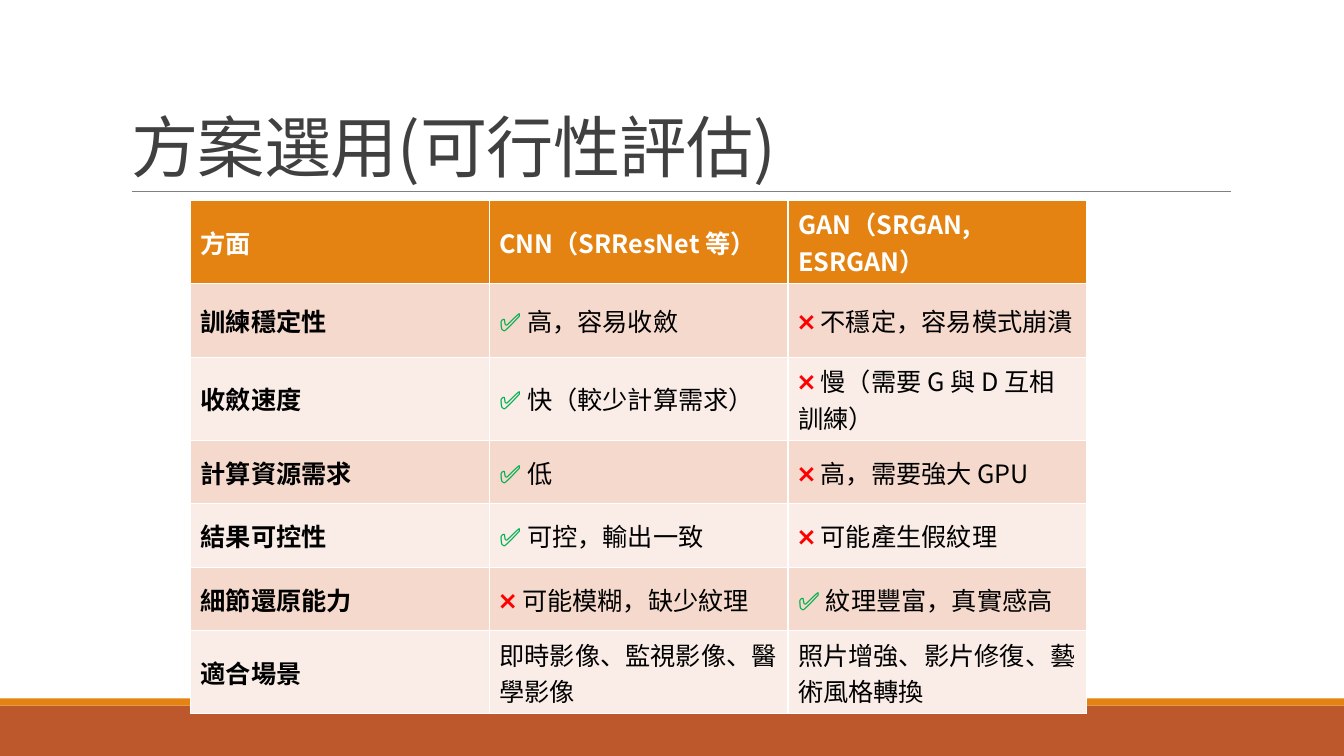
from dataclasses import dataclass

from lxml import etree
from pptx import Presentation
from pptx import util as u
from pptx.dml.color import RGBColor
from pptx.enum import shapes, text
from pptx.oxml.ns import qn


@dataclass(frozen=True)
class Theme:
    font: str = "Noto Sans CJK SC"
    title_size: int = 48
    table_size: int = 18
    title: str = "404040"
    rule: str = "808080"
    orange: str = "E48312"
    rust: str = "BD582C"
    bands: tuple = ("F5D9CC", "FAEDE7")
    header_text: str = "FFFFFF"
    body_text: str = "000000"
    yes: str = "00B050"
    no: str = "FF0000"


THEME = Theme()
MARK_COLOURS = {"✅": THEME.yes, "❌": THEME.no}

ROWS = [
    ("方面", "CNN（SRResNet 等）", "GAN（SRGAN, ESRGAN）"),
    ("訓練穩定性", "✅ 高，容易收斂", "❌ 不穩定，容易模式崩潰"),
    ("收斂速度", "✅ 快（較少計算需求）", "❌ 慢（需要 G 與 D 互相訓練）"),
    ("計算資源需求", "✅ 低", "❌ 高，需要強大 GPU"),
    ("結果可控性", "✅ 可控，輸出一致", "❌ 可能產生假紋理"),
    ("細節還原能力", "❌ 可能模糊，缺少紋理", "✅ 紋理豐富，真實感高"),
    ("適合場景", "即時影像、監視影像、醫學影像", "照片增強、影片修復、藝術風格轉換"),
]
ROW_HEIGHTS = (0.63, 0.73, 0.73, 0.63, 0.63, 0.63, 0.73)


def colour(value):
    return RGBColor.from_string(value)


def set_paragraph_font(para, size):
    """Set size and typeface for both Latin and East Asian text."""
    font = para.font
    font.size = u.Pt(size)
    font.name = THEME.font
    properties = para._p.pPr.find(qn("a:defRPr"))
    etree.SubElement(properties, qn("a:ea")).set("typeface", THEME.font)
    return properties


def add_band(page, top, height, fill):
    band = page.shapes.add_shape(
        shapes.MSO_SHAPE.RECTANGLE, 0, u.Inches(top), u.Inches(13.33), u.Inches(height))
    band.shadow.inherit = False
    band.fill.solid()
    band.fill.fore_color.rgb = colour(fill)
    band.line.fill.background()


def add_rule(page, left, right, y):
    rule = page.shapes.add_connector(
        shapes.MSO_CONNECTOR.STRAIGHT, u.Inches(left), u.Inches(y), u.Inches(right), u.Inches(y))
    rule.line.color.rgb = colour(THEME.rule)
    rule.line.width = u.Pt(0.5)
    etree.SubElement(rule._element.spPr, qn("a:effectLst"))


def set_title(page, words):
    box = page.shapes.title
    box.left, box.top = u.Inches(1.2), u.Inches(0.31)
    box.width, box.height = u.Inches(11), u.Inches(1.59)
    frame = box.text_frame
    frame.text = words
    frame.vertical_anchor = text.MSO_ANCHOR.BOTTOM
    frame.auto_size = text.MSO_AUTO_SIZE.NONE
    para = frame.paragraphs[0]
    para.alignment = text.PP_ALIGN.LEFT
    para.line_spacing = 0.85
    set_paragraph_font(para, THEME.title_size).set("spc", "-50")
    para.font.color.rgb = colour(THEME.title)


def fill_cell(cell, words, fill, ink, bold):
    cell.fill.solid()
    cell.fill.fore_color.rgb = colour(fill)
    cell.vertical_anchor = text.MSO_ANCHOR.MIDDLE
    para = cell.text_frame.paragraphs[0]
    set_paragraph_font(para, THEME.table_size)
    # A leading mark gets its own colour
    mark = words[0]
    spans = [(words, ink)]
    if mark in MARK_COLOURS:
        spans = [(mark, MARK_COLOURS[mark]), (words[1:], ink)]
    for words_part, span_ink in spans:
        span = para.add_run()
        span.text = words_part
        span.font.bold = bold
        span.font.color.rgb = colour(span_ink)


def add_comparison(page):
    frame = page.shapes.add_table(
        len(ROWS), len(ROWS[0]), u.Inches(1.89), u.Inches(1.99),
        u.Inches(8.89), u.Inches(sum(ROW_HEIGHTS)))
    table = frame.table
    for row, height in zip(table.rows, ROW_HEIGHTS):
        row.height = u.Inches(height)
    for r, entries in enumerate(ROWS):
        header = r == 0
        fill = THEME.orange if header else THEME.bands[(r - 1) % 2]
        ink = THEME.header_text if header else THEME.body_text
        for c, words in enumerate(entries):
            fill_cell(table.cell(r, c), words, fill, ink, header or c == 0)


def main():
    deck = Presentation()
    deck.slide_width, deck.slide_height = u.Inches(13.33), u.Inches(7.5)
    page = deck.slides.add_slide(deck.slide_layouts[5])

    # Footer bands and title rule
    add_band(page, 7, 0.5, THEME.rust)
    add_band(page, 6.93, 0.07, THEME.orange)
    add_rule(page, 1.31, 12.21, 1.9)

    # Title and comparison table
    set_title(page, "方案選用(可行性評估)")
    add_comparison(page)
    deck.save("out.pptx")


if __name__ == "__main__":
    main()
